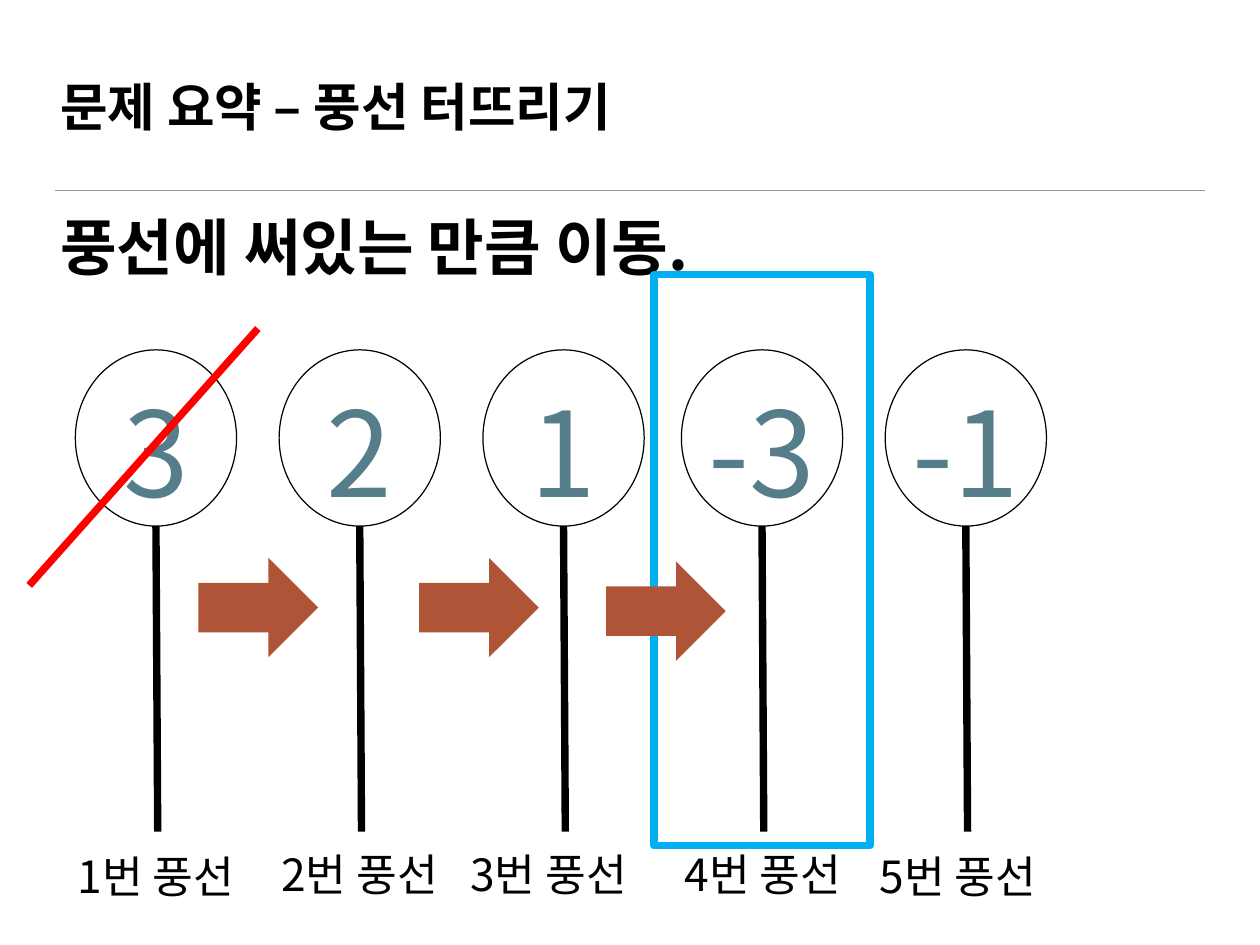
import pptx
import pptx.util
import pptx.dml.color
import pptx.enum.shapes
import pptx.enum.text
import pptx.oxml.ns
from dataclasses import dataclass
from lxml import etree

Inches, Pt = pptx.util.Inches, pptx.util.Pt
SHAPE = pptx.enum.shapes.MSO_SHAPE
ANCHOR = pptx.enum.text.MSO_ANCHOR
ALIGN = pptx.enum.text.PP_ALIGN
FIT = pptx.enum.text.MSO_AUTO_SIZE
qn = pptx.oxml.ns.qn


@dataclass(frozen=True)
class Theme:
    font: str = "Noto Sans CJK KR"
    ink: str = "000000"
    rule: str = "9A9A9A"
    number: str = "557E8A"
    strike: str = "FF0000"
    move: str = "B05437"
    focus: str = "00B0F0"
    title_size: int = 42
    heading_size: int = 50
    label_size: int = 36
    number_size: int = 96
    thin: int = 1
    thick: int = 6


THEME = Theme()

TITLE = "문제 요약 – 풍선 터뜨리기"
HEADING = "풍선에 써있는 만큼 이동."
# number, balloon left, label, label left, label top
BALLOONS = [
    ("3", 0.85, "1번 풍선", 0.54, 9.53),
    ("2", 3.15, "2번 풍선", 2.84, 9.51),
    ("1", 5.45, "3번 풍선", 4.97, 9.51),
    ("-3", 7.69, "4번 풍선", 7.39, 9.51),
    ("-1", 9.99, "5번 풍선", 9.59, 9.53),
]
MOVES_BEHIND_FOCUS = [(2.24, 6.3), (4.73, 6.3)]
MOVE_OVER_FOCUS = (6.84, 6.34)
FOCUS_BOX = (7.38, 3.1, 2.44, 6.45)

BALLOON_TOP, BALLOON_WIDTH, BALLOON_HEIGHT = 3.95, 1.82, 1.99
STRING_END, STRING_LEAN = 9.39, 0.02
NUMBER_TOP, NUMBER_HEIGHT = 4.24, 1.72
NUMBER_WIDTHS = {1: 0.96, 2: 1.73}
LABEL_WIDTH, LABEL_HEIGHT = 2.44, 0.72
MOVE_WIDTH, MOVE_HEIGHT = 1.35, 1.12


def rgb(color):
    return pptx.dml.color.RGBColor.from_string(color)


def add_text(shapes, text, box, *, size, color=THEME.ink, bold=False,
             align=ALIGN.LEFT, anchor=ANCHOR.MIDDLE, wrap=True,
             fit=FIT.SHAPE_TO_FIT_TEXT, inset=(0.06, 0.06)):
    frame = shapes.add_textbox(*map(Inches, box)).text_frame
    frame.word_wrap = wrap
    frame.auto_size = fit
    frame.vertical_anchor = anchor
    frame.margin_left = frame.margin_right = Inches(inset[0])
    frame.margin_top = frame.margin_bottom = Inches(inset[1])
    paragraph = frame.paragraphs[0]
    paragraph.alignment = align
    run = paragraph.add_run()
    run.text = text
    run.font.name = THEME.font
    run.font.size = Pt(size)
    run.font.bold = bold
    run.font.color.rgb = rgb(color)
    east_asian = etree.SubElement(run.font._element, qn("a:ea"))
    east_asian.set("typeface", THEME.font)


def add_figure(shapes, preset, box, *, fill=None, line=None, width=THEME.thin):
    figure = shapes.add_shape(preset, *map(Inches, box))
    figure.shadow.inherit = False
    if fill:
        figure.fill.solid()
        figure.fill.fore_color.rgb = rgb(fill)
    else:
        figure.fill.background()
    if line:
        figure.line.color.rgb = rgb(line)
        figure.line.width = Pt(width)
    else:
        figure.line.fill.background()


def add_line(shapes, start, end, color, width):
    line = shapes.add_connector(pptx.enum.shapes.MSO_CONNECTOR.STRAIGHT,
                                *map(Inches, start + end))
    line.line.color.rgb = rgb(color)
    line.line.width = Pt(width)
    etree.SubElement(line._element.spPr, qn("a:effectLst"))


def add_balloon(shapes, number, left):
    """Group a number, its balloon and the string below it."""
    parts = shapes.add_group_shape().shapes
    center = left + BALLOON_WIDTH / 2
    width = NUMBER_WIDTHS[len(number)]
    add_text(parts, number,
             (center - width / 2, NUMBER_TOP, width, NUMBER_HEIGHT),
             size=THEME.number_size, color=THEME.number, align=ALIGN.CENTER,
             anchor=ANCHOR.TOP, wrap=False, inset=(0.1, 0.05))
    add_figure(parts, SHAPE.OVAL,
               (left, BALLOON_TOP, BALLOON_WIDTH, BALLOON_HEIGHT),
               line=THEME.ink)
    add_line(parts, (center, BALLOON_TOP + BALLOON_HEIGHT),
             (center + STRING_LEAN, STRING_END), THEME.ink, THEME.thick)


def add_move(shapes, left, top):
    add_figure(shapes, SHAPE.RIGHT_ARROW, (left, top, MOVE_WIDTH, MOVE_HEIGHT),
               fill=THEME.move)


def main():
    deck = pptx.Presentation()
    deck.slide_width, deck.slide_height = Inches(14.22), Inches(10.67)
    shapes = deck.slides.add_slide(deck.slide_layouts[6]).shapes

    add_line(shapes, (0.62, 2.15), (13.6, 2.15), THEME.rule, THEME.thin)
    add_text(shapes, TITLE, (0.62, 0.08, 12.97, 1.53), size=THEME.title_size,
             bold=True, anchor=ANCHOR.BOTTOM, fit=FIT.NONE)
    for number, left, *_ in BALLOONS:
        add_balloon(shapes, number, left)
    for _, _, label, left, top in BALLOONS:
        add_text(shapes, label, (left, top, LABEL_WIDTH, LABEL_HEIGHT),
                 size=THEME.label_size, align=ALIGN.CENTER)
    add_text(shapes, HEADING, (0.62, 2.3, 11.41, 0.95),
             size=THEME.heading_size, bold=True)

    add_line(shapes, (2.91, 3.71), (0.33, 6.61), THEME.strike, THEME.thick)
    for place in MOVES_BEHIND_FOCUS:
        add_move(shapes, *place)
    add_figure(shapes, SHAPE.RECTANGLE, FOCUS_BOX,
               line=THEME.focus, width=THEME.thick)
    add_move(shapes, *MOVE_OVER_FOCUS)

    deck.save("out.pptx")


if __name__ == "__main__":
    main()
